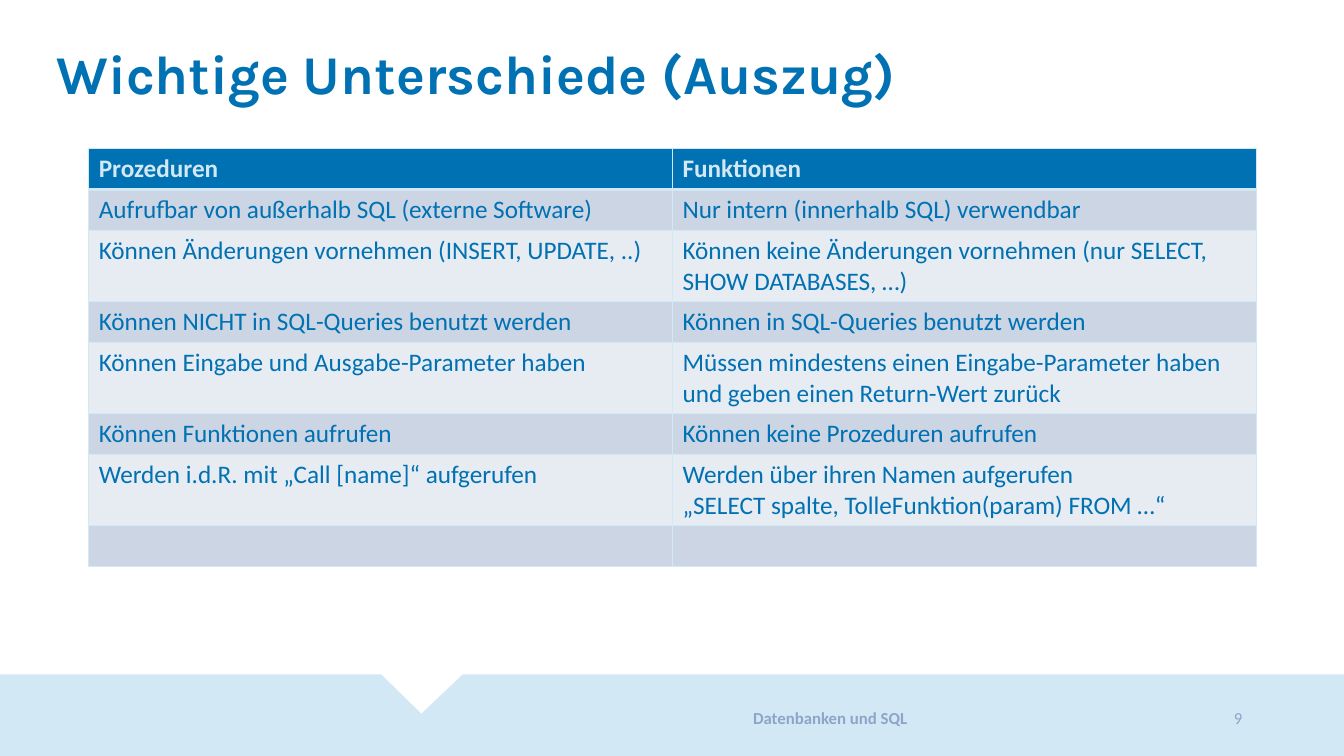
from pptx import Presentation
from pptx.dml.color import RGBColor as RGB
from pptx.enum.text import MSO_ANCHOR as Anchor, PP_ALIGN as Align
from pptx.oxml import parse_xml
from pptx.oxml.ns import nsdecls
from pptx.util import Inches, Pt

COLORS = {
    "blue": "0071B2",
    "pale": "D2E8F4",
    "muted": "8CA5C9",
    "odd": "CCD5E4",
    "even": "E7EBF2",
}

ROWS = [
    ("Prozeduren", "Funktionen"),
    ("Aufrufbar von außerhalb SQL (externe Software)",
     "Nur intern (innerhalb SQL) verwendbar"),
    ("Können Änderungen vornehmen (INSERT, UPDATE, ..)",
     "Können keine Änderungen vornehmen (nur SELECT, SHOW DATABASES, …)"),
    ("Können NICHT in SQL-Queries benutzt werden",
     "Können in SQL-Queries benutzt werden"),
    ("Können Eingabe und Ausgabe-Parameter haben",
     "Müssen mindestens einen Eingabe-Parameter haben "
     "und geben einen Return-Wert zurück"),
    ("Können Funktionen aufrufen", "Können keine Prozeduren aufrufen"),
    ("Werden i.d.R. mit „Call [name]“ aufgerufen",
     "Werden über ihren Namen aufgerufen\v"
     "„SELECT spalte, TolleFunktion(param) FROM …“"),
    ("", ""),
]


def color(name):
    return RGB.from_string(COLORS[name])


def style(para, size, tint, bold=False, face="Calibri"):
    font = para.font
    font.name, font.size, font.bold = face, Pt(size), bold
    font.color.rgb = color(tint)


def place(shape, x, y, w, h):
    shape.left, shape.top = Inches(x), Inches(y)
    shape.width, shape.height = Inches(w), Inches(h)


# Title
def add_title(slide, x, y, w, h):
    title = slide.shapes.title
    place(title, x, y, w, h)
    frame = title.text_frame
    frame.text = "Wichtige Unterschiede (Auszug)"
    frame.vertical_anchor = Anchor.TOP
    para = frame.paragraphs[0]
    para.alignment, para.line_spacing = Align.LEFT, 0.9
    style(para, 39, "blue", True, "Karla")


# Footer band with notch, label and page number
def add_label(slide, x, y, w, h, text, align, bold):
    box = slide.shapes.add_textbox(*map(Inches, (x, y, w, h)))
    frame = box.text_frame
    frame.word_wrap, frame.vertical_anchor = True, Anchor.MIDDLE
    frame.text = text
    para = frame.paragraphs[0]
    para.alignment = align
    style(para, 12, "muted", bold)


def add_footer(slide, x, y, w, h):
    points = [(3.78, 0), (4.18, 0.39), (4.59, 0), (w, 0), (w, h), (0, h)]
    path = slide.shapes.build_freeform(Inches(x), Inches(y))
    path.add_line_segments(
        [(Inches(x + dx), Inches(y + dy)) for dx, dy in points])
    band = path.convert_to_shape()
    band.shadow.inherit = False
    band.fill.solid()
    band.fill.fore_color.rgb = color("pale")
    band.line.fill.background()
    add_label(slide, x + 5.87, y + 0.21, 4.73, 0.45,
              "Datenbanken und SQL", Align.CENTER, True)
    add_label(slide, x + 10.6, y + 0.21, 1.82, 0.45, "9", Align.RIGHT, False)


# Comparison table
def add_edge(cell, side, width):
    cell._tc.get_or_add_tcPr().append(parse_xml(
        f'<a:ln{side} {nsdecls("a")} w="{Pt(width)}"><a:solidFill>'
        f'<a:srgbClr val="{COLORS["pale"]}"/></a:solidFill></a:ln{side}>'))


def add_grid(slide, x, y, w, h):
    frame = slide.shapes.add_table(
        len(ROWS), len(ROWS[0]), *map(Inches, (x, y, w, h)))
    table = frame.table
    for r, row in enumerate(ROWS):
        table.rows[r].height = Inches(0.41)
        head = r == 0
        tone = "blue" if head else "odd" if r % 2 else "even"
        for c, text in enumerate(row):
            cell = table.cell(r, c)
            cell.text = text
            style(cell.text_frame.paragraphs[0], 18,
                  "pale" if head else "blue", head)
            for side in "LRTB":
                thick = (r, side) in ((0, "B"), (1, "T"))
                add_edge(cell, side, 3 if thick else 1)
            cell.fill.solid()
            cell.fill.fore_color.rgb = color(tone)


def main():
    deck = Presentation()
    deck.slide_width, deck.slide_height = Inches(13.33), Inches(7.5)
    slide = deck.slides.add_slide(deck.slide_layouts[5])
    add_footer(slide, 0, 6.69, 13.33, 0.81)
    add_title(slide, 0.46, 0.42, 12.57, 0.79)
    add_grid(slide, 0.88, 1.47, 11.58, 3.28)
    deck.save("out.pptx")


if __name__ == "__main__":
    main()
